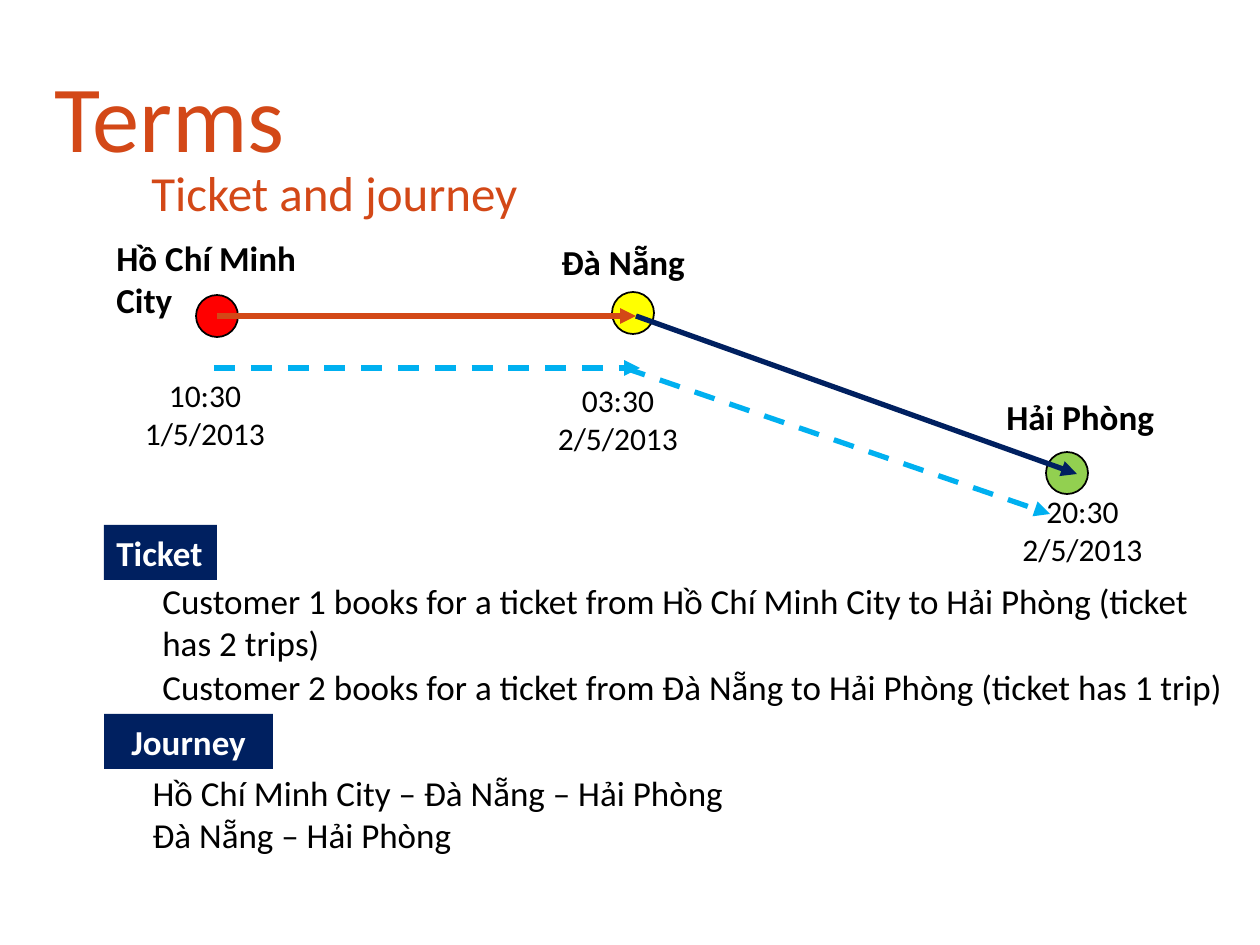
"""Build the slide that explains tickets and journeys on a three-city route."""
from lxml import etree
from pptx import Presentation
from pptx.dml.color import RGBColor
from pptx.enum.dml import MSO_LINE
from pptx.enum.shapes import MSO_CONNECTOR, MSO_SHAPE
from pptx.enum.text import MSO_ANCHOR, MSO_AUTO_SIZE, PP_ALIGN
from pptx.oxml.ns import qn
from pptx.util import Emu, Pt

LEFT, CENTER = PP_ALIGN.LEFT, PP_ALIGN.CENTER
TOP, BOTTOM = MSO_ANCHOR.TOP, MSO_ANCHOR.BOTTOM
STRAIGHT = MSO_CONNECTOR.STRAIGHT
OVAL, RECTANGLE = MSO_SHAPE.OVAL, MSO_SHAPE.RECTANGLE
DASH, SOLID = MSO_LINE.DASH, MSO_LINE.SOLID
NO_AUTOFIT = MSO_AUTO_SIZE.NONE
PX = 914400 / 126
ORANGE, NAVY, SKY, BLACK, WHITE = "D34817", "002060", "00B0F0", "000000", "FFFFFF"


def box(*lengths):
    return [Emu(round(length * PX)) for length in lengths]


def write(shape, text, size, color, bold=False, align=LEFT, anchor=TOP):
    frame = shape.text_frame
    frame.text = text
    frame.word_wrap = True
    frame.auto_size = NO_AUTOFIT
    frame.vertical_anchor = anchor
    for paragraph in frame.paragraphs:
        paragraph.alignment = align
        paragraph.space_before = Pt(0)
        for run in paragraph.runs:
            run.font.name = "Calibri"
            run.font.size = Pt(size)
            run.font.bold = bold
            run.font.color.rgb = RGBColor.from_string(color)


prs = Presentation()
prs.slide_width, prs.slide_height = box(1260, 945)
slide = prs.slides.add_slide(prs.slide_layouts[1])
shapes = slide.shapes

title, journeys = slide.placeholders
title.left, title.top, title.width, title.height = box(42, 63, 651, 116)
write(title, "Terms", 54, ORANGE, anchor=BOTTOM)
title.text_frame.paragraphs[0].line_spacing = 0.9

journeys.left, journeys.top, journeys.width, journeys.height = box(140, 765, 1099, 97)
write(journeys, "Hồ Chí Minh City – Đà Nẵng – Hải Phòng\nĐà Nẵng – Hải Phòng", 20, BLACK)
for journey in journeys.text_frame.paragraphs:
    properties = journey._p.get_or_add_pPr()
    properties.set("marL", "0")
    properties.set("indent", "0")
    etree.SubElement(properties, qn("a:buNone"))

for heading, left, top, width, align in [
    ("Ticket", 104, 525, 113, LEFT),
    ("Journey", 104, 714, 169, CENTER),
]:
    label = shapes.add_shape(RECTANGLE, *box(left, top, width, 55))
    label.shadow.inherit = False
    label.fill.solid()
    label.fill.fore_color.rgb = RGBColor.from_string(NAVY)
    label.line.fill.background()
    write(label, heading, 20, WHITE, True, align)

for left, top, color in [(196, 295, "FF0000"), (1046, 452, "92D050"), (612, 292, "FFFF00")]:
    stop = shapes.add_shape(OVAL, *box(left, top, 42, 42))
    stop.shadow.inherit = False
    stop.fill.solid()
    stop.fill.fore_color.rgb = RGBColor.from_string(color)
    stop.line.color.rgb = RGBColor.from_string(BLACK)
    stop.line.width = Pt(1)

for ends, color, dash in [
    ((217, 316, 636, 316), ORANGE, SOLID),
    ((636, 316, 1077, 474), NAVY, SOLID),
    ((214, 368, 640, 368), SKY, DASH),
    ((625, 368, 1050, 514), SKY, DASH),
]:
    trip = shapes.add_connector(STRAIGHT, *box(*ends))
    trip.line.color.rgb = RGBColor.from_string(color)
    trip.line.width = Pt(3)
    trip.line.dash_style = dash
    etree.SubElement(trip.line._get_or_add_ln(), qn("a:tailEnd"), type="triangle")
    etree.SubElement(trip._element.spPr, qn("a:effectLst"))

for text, bounds, size, color, bold, align in [
    ("Ticket and journey", (139, 156, 659, 72), 28, ORANGE, False, LEFT),
    ("Hồ Chí Minh City", (104, 230, 222, 97), 20, BLACK, True, LEFT),
    ("Đà Nẵng", (549, 234, 150, 55), 20, BLACK, True, LEFT),
    ("Hải Phòng", (994, 389, 252, 55), 20, BLACK, True, LEFT),
    ("10:30 1/5/2013", (123, 370, 164, 89), 18, BLACK, False, CENTER),
    ("03:30 2/5/2013", (536, 375, 164, 89), 18, BLACK, False, CENTER),
    ("20:30 2/5/2013", (992, 486, 181, 89), 18, BLACK, False, CENTER),
    ("Customer 1 books for a ticket from Hồ Chí Minh City to Hải Phòng (ticket has 2 trips)",
     (150, 573, 1099, 97), 20, BLACK, False, LEFT),
    ("Customer 2 books for a ticket from Đà Nẵng to Hải Phòng (ticket has 1 trip)",
     (150, 659, 1099, 55), 20, BLACK, False, LEFT),
]:
    write(shapes.add_textbox(*box(*bounds)), text, size, color, bold, align)

prs.save("out.pptx")
